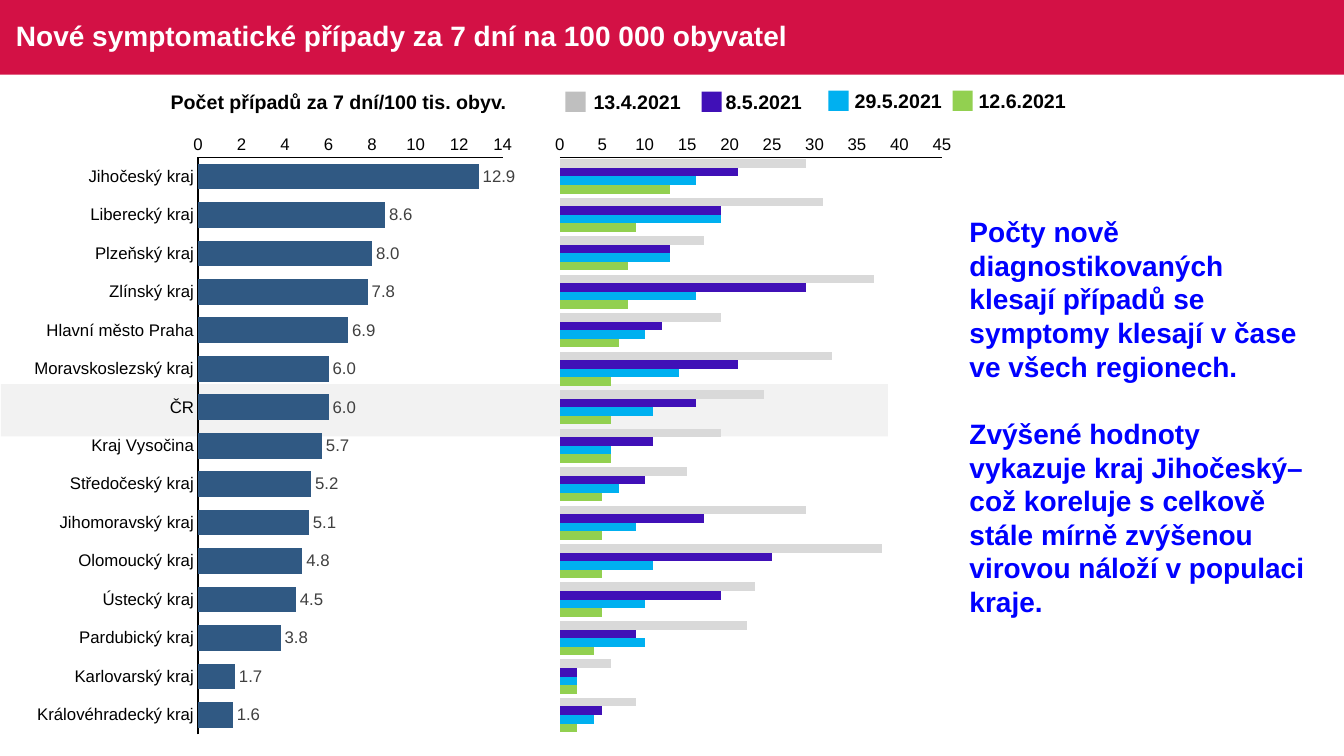
from lxml import etree
from pptx import Presentation
from pptx.chart import data
from pptx.dml import color
from pptx.enum import chart as ch, shapes, text
from pptx.oxml import ns
from pptx.util import Pt

REGIONS = ["Jihočeský kraj", "Liberecký kraj", "Plzeňský kraj", "Zlínský kraj",
           "Hlavní město Praha", "Moravskoslezský kraj", "ČR", "Kraj Vysočina",
           "Středočeský kraj", "Jihomoravský kraj", "Olomoucký kraj", "Ústecký kraj",
           "Pardubický kraj", "Karlovarský kraj", "Královéhradecký kraj"]
RATES = [12.9, 8.6, 8, 7.8, 6.9, 6, 6, 5.7, 5.2, 5.1, 4.8, 4.5, 3.8, 1.7, 1.6]
HISTORY = [
    ("13.4.2021", "D9D9D9", [29, 31, 17, 37, 19, 32, 24, 19, 15, 29, 38, 23, 22, 6, 9]),
    ("8.5.2021", "4010B7", [21, 19, 13, 29, 12, 21, 16, 11, 10, 17, 25, 19, 9, 2, 5]),
    ("29.5.2021", "00B0F0", [16, 19, 13, 16, 10, 14, 11, 6, 7, 9, 11, 10, 10, 2, 4]),
    ("12.6.2021", "92D050", [13, 9, 8, 8, 7, 6, 6, 6, 5, 5, 5, 5, 4, 2, 2]),
]
LEGEND = [("13.4.2021", "BFBFBF", 403.9, 416.9, 77, 65.5),
          ("8.5.2021", "4010B7", 501.1, 511.2, 69, 65.5),
          ("29.5.2021", "00B0F0", 591.8, 603.4, 77, 64.8),
          ("12.6.2021", "92D050", 680.4, 691.9, 77, 64.8)]
MEASURE = "Počet případů za 7 dní/100 tis. obyv."
COMMENTS = [
    "Počty nově diagnostikovaných klesají případů se symptomy klesají v čase ve všech regionech.",
    "Zvýšené hodnoty vykazuje kraj Jihočeský– což koreluje s celkově stále mírně "
    "zvýšenou virovou náloží v populaci kraje.",
]


def rgb(value):
    return color.RGBColor.from_string(value)


class Deck:
    """Draws styled elements on the current slide, with lengths in points."""

    font = "Arial"

    def __init__(self, s):
        self.s = s

    def style(self, font, size, fill, bold=False):
        font.name, font.size, font.bold = self.font, Pt(size), bold
        font.color.rgb = rgb(fill)

    def rect(self, x, y, w, h, fill):
        sp = self.s.shapes.add_shape(shapes.MSO_SHAPE.RECTANGLE, Pt(x), Pt(y), Pt(w), Pt(h))
        sp.shadow.inherit = False
        sp.fill.solid()
        sp.fill.fore_color.rgb = rgb(fill)
        sp.line.fill.background()

    def text(self, x, y, w, h, words, size, fill, wrap=True, align=None):
        tf = self.s.shapes.add_textbox(Pt(x), Pt(y), Pt(w), Pt(h)).text_frame
        tf.text = words
        tf.word_wrap = wrap
        for p in tf.paragraphs:
            p.alignment = align
            for r in p.runs:
                self.style(r.font, size, fill, True)
        return tf

    def chart(self, x, w, series, top, step, number_format, plot_x, plot_w):
        cd = data.CategoryChartData()
        cd.categories = REGIONS
        for name, _, values in series:
            cd.add_series(name, values)
        chart = self.s.shapes.add_chart(ch.XL_CHART_TYPE.BAR_CLUSTERED, Pt(x), Pt(87.8),
                                        Pt(w), Pt(445.7), cd).chart
        self.style(chart.font, 10, "000000")
        chart.has_legend = chart.has_title = False
        plot = chart.plots[0]
        plot.gap_width, plot.overlap, plot.vary_by_categories = 50, 0, False
        for ser, (_, fill, _) in zip(plot.series, series):
            ser.format.fill.solid()
            ser.format.fill.fore_color.rgb = rgb(fill)
            ser.invert_if_negative = False
        for axis in (chart.category_axis, chart.value_axis):
            axis.has_major_gridlines = False
            axis.major_tick_mark = axis.minor_tick_mark = ch.XL_TICK_MARK.NONE
            axis.format.line.color.rgb = rgb("000000")
            axis.format.line.width = Pt(0.75)
            self.style(axis.tick_labels.font, 12, "000000")
        chart.category_axis.reverse_order = True
        values = chart.value_axis
        values.minimum_scale, values.maximum_scale, values.major_unit = 0, top, step
        values.tick_labels.number_format = number_format
        values.tick_labels.number_format_is_linked = False
        self.layout(chart, plot_x, 0.055, plot_w, 0.925)
        return chart

    def layout(self, chart, x, y, w, h):
        area = chart.plots[0]._element.getparent()
        for old in area.findall(ns.qn("c:layout")):
            area.remove(old)
        outer = etree.Element(ns.qn("c:layout"))
        area.insert(0, outer)
        inner = etree.SubElement(outer, ns.qn("c:manualLayout"))
        for tag, val in (("layoutTarget", "inner"), ("xMode", "edge"), ("yMode", "edge"),
                         ("x", x), ("y", y), ("w", w), ("h", h)):
            etree.SubElement(inner, ns.qn("c:" + tag)).set("val", str(val))

    def labels(self, chart):
        dl = chart.plots[0].series[0].data_labels
        dl.show_value = True
        dl.number_format, dl.number_format_is_linked = "#,##0.0", False
        dl.position = ch.XL_LABEL_POSITION.OUTSIDE_END
        self.style(dl.font, 12, "404040")


def main():
    prs = Presentation()
    prs.slide_width, prs.slide_height = Pt(960), Pt(540)
    deck = Deck(prs.slides.add_slide(prs.slide_layouts[6]))

    deck.rect(0, 0, 960, 53.3, "D31145")
    tf = deck.text(4.3, 0, 940.3, 53.3,
                   "Nové symptomatické případy za 7 dní na 100 000 obyvatel", 20, "FFFFFF")
    tf.vertical_anchor = text.MSO_ANCHOR.MIDDLE
    tf.paragraphs[0].line_spacing = 0.9

    deck.rect(0.7, 274.3, 633.6, 37.4, "F2F2F2")
    history = deck.chart(391, 294.5, HISTORY, 45, 5, "General", 0.03, 0.927)
    history.category_axis.visible = False
    rates = deck.chart(18, 355.7, [(MEASURE, "305983", RATES)], 14, 2, "#,##0", 0.347, 0.612)
    deck.labels(rates)

    tf = deck.text(685.4, 149.8, 258.5, 298, "\n".join(COMMENTS), 20, "0000FF")
    tf.paragraphs[1].space_before = Pt(24)

    deck.text(114.5, 60.5, 254.9, 24.5, MEASURE, 14, "000000", False, text.PP_ALIGN.CENTER)
    for date, fill, box_x, label_x, label_w, y in LEGEND:
        deck.rect(box_x, y, 14.4, 14.4, fill)
        deck.text(label_x, y - 5, label_w, 24.5, date, 14, "000000", False)

    prs.save("out.pptx")


if __name__ == "__main__":
    main()
